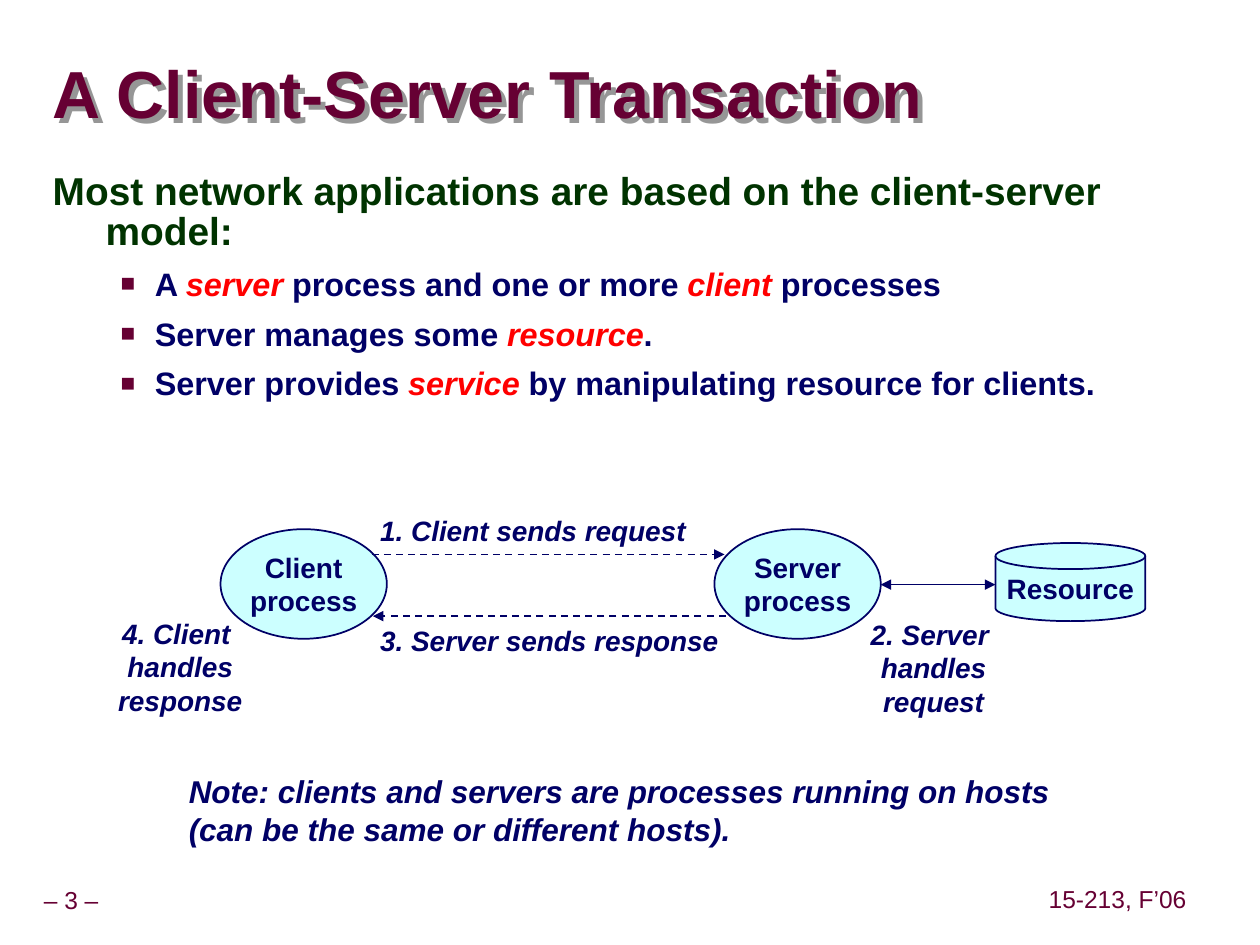
import lxml.etree
import pptx
import pptx.dml.color
import pptx.enum.dml
import pptx.enum.shapes
import pptx.enum.text
import pptx.oxml.ns
import pptx.util

PX = 9144  # EMU in one px, 100 px to the inch
HUE = {"wine": "660033", "green": "003300", "navy": "000066",
       "red": "FF0000", "ice": "CCFFFF", "gray": "969696"}
KIND = pptx.enum.shapes.MSO_SHAPE
LEFT = pptx.enum.text.PP_ALIGN.LEFT
MID = pptx.enum.text.PP_ALIGN.CENTER


def rgb(name):
    return pptx.dml.color.RGBColor.from_string(HUE[name])


def node(up, tag, **attrs):
    return lxml.etree.SubElement(up, pptx.oxml.ns.qn(tag), attrs)


def add_run(para, text, size, hue, bold=True, slant=False):
    run = para.add_run()
    run.text = text
    font = run.font
    font.name, font.size = "Arial", pptx.util.Pt(size)
    font.bold, font.italic = bold, slant
    font.color.rgb = rgb(hue)


def set_frame(shape, side=10, top=5, wrap=False, mid=True):
    frame = shape.text_frame
    frame.word_wrap = wrap
    frame.margin_left = frame.margin_right = side * PX
    frame.margin_top = frame.margin_bottom = top * PX
    anchor = pptx.enum.text.MSO_ANCHOR
    frame.vertical_anchor = anchor.MIDDLE if mid else anchor.TOP
    return frame


def add_box(slide, box, wrap=False, **opts):
    """Add a text box that grows with its text unless it wraps."""
    shape = slide.shapes.add_textbox(*[n * PX for n in box])
    frame = set_frame(shape, wrap=wrap, **opts)
    fit = pptx.enum.text.MSO_AUTO_SIZE
    frame.auto_size = fit.NONE if wrap else fit.SHAPE_TO_FIT_TEXT
    return shape


def add_lines(shape, lines, size, hue="navy", align=MID, gap=1.0, **look):
    frame = shape.text_frame
    for i, text in enumerate(lines):
        para = frame.paragraphs[0] if i == 0 else frame.add_paragraph()
        para.alignment, para.line_spacing = align, gap
        add_run(para, text, size, hue, **look)


def add_node(slide, kind, box, lines):
    shape = slide.shapes.add_shape(kind, *[n * PX for n in box])
    shape.shadow.inherit = False
    shape.fill.solid()
    shape.fill.fore_color.rgb = rgb("ice")
    shape.line.color.rgb = rgb("navy")
    shape.line.width = pptx.util.Pt(1)
    set_frame(shape)
    add_lines(shape, lines, 16)


def add_arrow(slide, start, end, both=False):
    """Draw a dashed arrow to end, or a solid one with two heads."""
    ends = [n * PX for n in start + end]
    line = slide.shapes.add_connector(
        pptx.enum.shapes.MSO_CONNECTOR.STRAIGHT, *ends)
    line.line.color.rgb = rgb("navy")
    line.line.width = pptx.util.Pt(1)
    if not both:
        line.line.dash_style = pptx.enum.dml.MSO_LINE.DASH
    stroke = line.line._get_or_add_ln()
    for tag in ["a:headEnd", "a:tailEnd"] if both else ["a:tailEnd"]:
        node(stroke, tag, type="triangle")
    node(line._element.spPr, "a:effectLst")


def add_title(slide, box):
    """Write the title; the box has no fill, so its text casts the shadow."""
    shape = add_box(slide, box, side=0, top=0, wrap=True)
    add_lines(shape, ["A Client-Server Transaction"], 38, "wine", LEFT, 0.87)
    glow = node(shape._element.spPr, "a:effectLst")
    cast = node(glow, "a:outerShdw", dist="50800", dir="2700000")
    node(cast, "a:srgbClr", val=HUE["gray"])


def set_indent(para, left, hang):
    props = para._p.get_or_add_pPr()
    props.set("marL", str(left * PX))
    props.set("indent", str(-hang * PX))
    return props


def add_points(slide, box):
    """Write the lead sentence and its bullets, with key words in red."""
    frame = add_box(slide, box, wrap=True, mid=False).text_frame
    lead = frame.paragraphs[0]
    lead.line_spacing, lead.space_before = 0.85, pptx.util.Pt(15)
    set_indent(lead, 42, 42)
    add_run(lead, "Most network applications are based on the "
            "client-server model:", 22.2, "green")
    points = [
        ["A ", "server", " process and one or more ", "client ", "processes"],
        ["Server manages some ", "resource", "."],
        ["Server provides ", "service",
         " by manipulating resource for clients."],
    ]
    for parts in points:
        para = frame.add_paragraph()
        para.level, para.space_before = 1, pptx.util.Pt(6.2)
        props = set_indent(para, 81, 27)
        node(node(props, "a:buClr"), "a:srgbClr", val=HUE["wine"])
        node(props, "a:buSzPct", val="75000")
        node(props, "a:buFont", typeface="Arial")
        node(props, "a:buChar", char="■")
        for i, text in enumerate(parts):
            key = i % 2 == 1
            add_run(para, text, 18.5, "red" if key else "navy", slant=key)


def add_flow(slide, box):
    """Draw the client, server and resource, and the four steps."""
    x, y, wide, high = box
    oval, disk = (132, 87), (119, 62)
    client, server, store = x + 91, x + 483, x + wide - disk[0]
    mid = y + 18 + oval[1] // 2 + 1
    add_node(slide, KIND.OVAL, (client, y + 18, *oval), ["Client", "process"])
    add_arrow(slide, (x + 211, y + 38), (x + 491, y + 38))
    add_node(slide, KIND.OVAL, (server, y + 18, *oval), ["Server", "process"])
    add_arrow(slide, (x + 492, y + 87), (x + 212, y + 87))
    add_arrow(slide, (server + oval[0], mid), (store, mid), both=True)
    add_node(slide, KIND.FLOWCHART_MAGNETIC_DISK,
             (store, mid - disk[1] // 2 - 2, *disk), ["Resource"])
    steps = [
        ((208, 0, 262, 37), ["1. Client sends request"]),
        ((597, 83, 120, 90), ["2. Server ", "handles", "request"]),
        ((208, 88, 288, 37), ["3. Server sends response"]),
        ((0, 82, 118, 90), ["4. Client ", "handles", "response"]),
    ]
    for (left, top, *size), lines in steps:
        label = add_box(slide, (x + left, y + top, *size), side=5)
        add_lines(label, lines, 16, slant=True)


def add_note(slide, box):
    lines = ["Note: clients and servers are processes running on hosts",
             "(can be the same or different hosts)."]
    add_lines(add_box(slide, box, mid=False), lines, 18, align=LEFT,
              slant=True)


def add_foot(slide, box, text):
    add_lines(add_box(slide, box, side=5), [text], 14, "wine", gap=0.9,
              bold=False)


def main():
    deck = pptx.Presentation()
    deck.slide_width, deck.slide_height = 1000 * PX, 750 * PX
    slide = deck.slides.add_slide(deck.slide_layouts[6])
    add_foot(slide, (-9, 700, 131, 31), "– 3 –")
    add_foot(slide, (827, 699, 120, 31), "15-213, F’06")
    add_title(slide, (42, 46, 783, 63))
    add_flow(slide, (84, 402, 825, 173))
    add_points(slide, (32, 133, 909, 225))
    add_note(slide, (140, 608, 710, 70))
    deck.save("out.pptx")


if __name__ == "__main__":
    main()
